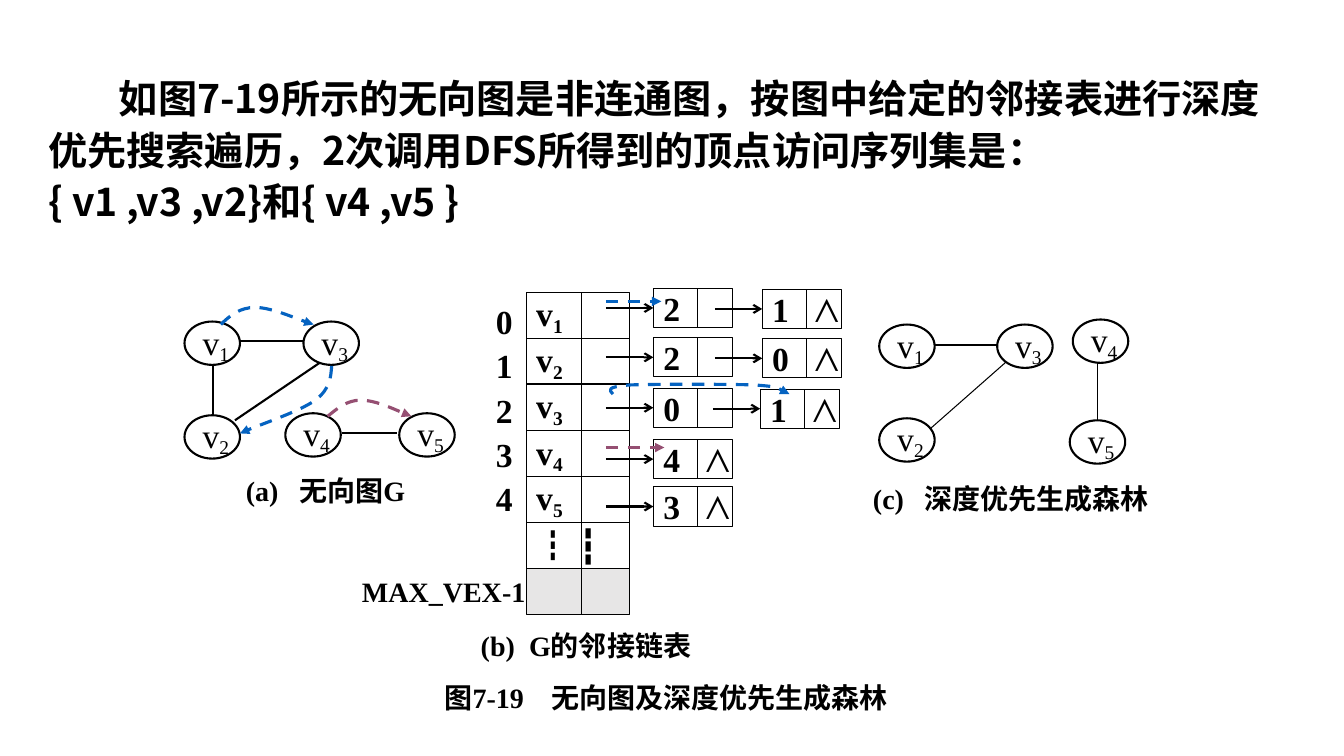
"""Build the slide on depth-first search of an unconnected graph."""
import pptx
import pptx.util
import pptx.dml.color
import pptx.enum.dml
import pptx.enum.shapes
import pptx.enum.text
import pptx.oxml
import pptx.oxml.ns

PX = 9144
BLACK = pptx.dml.color.RGBColor(0x00, 0x00, 0x00)
BLUE = pptx.dml.color.RGBColor(0x05, 0x63, 0xC1)
PURPLE = pptx.dml.color.RGBColor(0x95, 0x4F, 0x72)
GREY = pptx.dml.color.RGBColor(0xE7, 0xE6, 0xE6)
SERIF = "Times New Roman"
SANS = "Noto Sans CJK SC"
SHAPES = pptx.enum.shapes.MSO_SHAPE
qn = pptx.oxml.ns.qn

BODY = ("如图7-19所示的无向图是非连通图，按图中给定的邻接表进行深度优先搜索遍历，"
        "2次调用DFS所得到的顶点访问序列集是：\v{ v1 ,v3 ,v2}和{ v4 ,v5 }")
GRAPH_VERTICES = [(183, 319, "1"), (183, 412, "2"), (301, 319, "3"), (283, 410, "4"), (396, 410, "5")]
GRAPH_EDGES = [(211, 362, 211, 412), (233, 417, 317, 360), (239, 338, 302, 338), (339, 430, 394, 430)]
FOREST_VERTICES = [(872, 322, "1"), (872, 415, "2"), (989, 322, "3"), (1064, 317, "4"), (1061, 417, "5")]
FOREST_EDGES = [(927, 342, 990, 342, 1.5), (998, 359, 923, 425, 0.75), (1089, 359, 1089, 417, 0.75)]
CURVES = [
    (BLUE, [(219, 322), (228, 313), (238, 305), (253, 305), (268, 305), (301, 319), (311, 322)]),
    (BLUE, [(329, 363), (328, 374), (328, 385), (313, 397), (297, 408), (250, 424), (238, 430)]),
    (PURPLE, [(325, 413), (335, 405), (344, 397), (358, 397), (372, 397), (400, 410), (408, 413)]),
    (BLUE, [(608, 391), (604, 387), (601, 384), (624, 382), (648, 381), (723, 381), (749, 382),
            (776, 384), (777, 389), (783, 391)]),
]
LIST_NODES = [
    (648, 286, "2", False), (756, 287, "1", True),
    (648, 335, "2", False), (756, 336, "0", True),
    (648, 385, "0", False), (754, 386, "1", True),
    (648, 436, "4", True), (648, 483, "3", True),
]
CAPTIONS = [
    (234, 469, 180, "(a)\t无向图G", 53),
    (467, 623, 230, "(b)\tG的邻接链表", 48),
    (856, 477, 290, "(c)\t深度优先生成森林", 51),
    (431, 674, 455, "图7-19\t无向图及深度优先生成森林", 106),
]


def px(*lengths):
    """Turn pixel lengths into EMU."""
    return [pptx.util.Emu(length * PX) for length in lengths]


def format_run(run, size, bold=True, font=SERIF, east_asian=SANS):
    """Set size, weight, colour and both fonts of a run."""
    run.font.size = pptx.util.Pt(size)
    run.font.bold = bold
    run.font.color.rgb = BLACK
    run.font.name = font
    properties = run.font._element
    element = properties.makeelement(qn("a:ea"), {"typeface": east_asian})
    properties.find(qn("a:latin")).addnext(element)


def add_run(paragraph, text, size, baseline=None, **formats):
    """Append a formatted run, lowered when a baseline is given."""
    run = paragraph.add_run()
    run.text = text
    format_run(run, size, **formats)
    if baseline:
        run.font._element.set("baseline", str(baseline * 1000))


def add_tab(paragraph, position):
    """Give a paragraph one left tab stop."""
    properties = paragraph._p.get_or_add_pPr()
    stops = pptx.oxml.parse_xml(
        f'<a:tabLst {pptx.oxml.ns.nsdecls("a")}><a:tab pos="{position * PX}" algn="l"/></a:tabLst>')
    properties.append(stops)


def style_line(line, width, color=BLACK, dashed=False, head=None):
    """Set the stroke and the arrowhead at its end."""
    line.width = pptx.util.Pt(width)
    line.color.rgb = color
    if dashed:
        line.dash_style = pptx.enum.dml.MSO_LINE.DASH
    if head:
        stroke = line._get_or_add_ln()
        stroke.append(stroke.makeelement(qn("a:tailEnd"), {"type": head}))


def add_line(slide, ends, width, **strokes):
    """Draw a straight connector between two points."""
    connector = slide.shapes.add_connector(pptx.enum.shapes.MSO_CONNECTOR.STRAIGHT, *px(*ends))
    style_line(connector.line, width, **strokes)
    properties = connector._element.spPr
    properties.append(properties.makeelement(qn("a:effectLst"), {}))
    return connector


def add_outline(slide, kind, box, width, fill=None):
    """Draw a preset shape ready for left-aligned text."""
    shape = slide.shapes.add_shape(kind, *px(*box))
    shape.shadow.inherit = False
    style_line(shape.line, width)
    if fill:
        shape.fill.solid()
        shape.fill.fore_color.rgb = fill
    else:
        shape.fill.background()
    shape.text_frame.word_wrap = False
    shape.text_frame.vertical_anchor = pptx.enum.text.MSO_ANCHOR.MIDDLE
    shape.text_frame.paragraphs[0].alignment = pptx.enum.text.PP_ALIGN.LEFT
    return shape


def add_vertex(slide, left, top, number):
    """Draw a round graph vertex."""
    paragraph = add_outline(slide, SHAPES.OVAL, (left, top, 55, 43), 1.5).text_frame.paragraphs[0]
    add_run(paragraph, "v", 24, bold=False)
    add_run(paragraph, number, 24, baseline=-18, bold=False)


def add_cell(slide, left, top, width, height, divider, fill=None):
    """Draw a two-part cell and return it."""
    cell = add_outline(slide, SHAPES.RECTANGLE, (left, top, width, height), 0.75, fill)
    add_line(slide, (left + divider, top, left + divider, top + height), 0.75)
    return cell


def add_vertex_array(slide):
    """Draw the column of list heads."""
    tops = [round(290 + 45.7 * row) for row in range(8)]
    for row, top in enumerate(tops[:-1]):
        fill = GREY if row == 6 else None
        cell = add_cell(slide, 522, top, 102, tops[row + 1] - top, 55, fill)
        paragraph = cell.text_frame.paragraphs[0]
        if row < 5:
            add_run(paragraph, "v", 24)
            add_run(paragraph, str(row + 1), 24, baseline=-20)
        elif row == 5:
            add_run(paragraph, "┇", 24, font=SANS)
            add_run(paragraph, " ┇", 24, east_asian=SERIF)


def add_list_node(slide, left, top, number, last):
    """Draw a list node with the arrow that leads to it."""
    node = add_cell(slide, left, top, 79, 39, 44)
    paragraph = node.text_frame.paragraphs[0]
    if last:
        add_tab(paragraph, 42)
        add_run(paragraph, number + "\t", 24)
        add_run(paragraph, "⋀", 24, bold=False)
    else:
        add_run(paragraph, number, 24)
    arrow = add_line(slide, (left - 47, top + 20, left, top + 20), 1.5, head="arrow")
    arrow.end_connect(node, 1)
    arrow.begin_y = arrow.end_y


def add_curve(slide, color, points):
    """Draw a dashed arrow along cubic curves."""
    builder = slide.shapes.build_freeform(*points[0], scale=PX)
    builder.add_line_segments(points[1:], close=False)
    shape = builder.convert_to_shape()
    shape.shadow.inherit = False
    shape.fill.background()
    style_line(shape.line, 2.25, color, dashed=True, head="triangle")
    segments = list(shape._element.iter(qn("a:lnTo")))
    for start in range(0, len(segments), 3):
        curve = segments[start].makeelement(qn("a:cubicBezTo"), {})
        segments[start].addprevious(curve)
        for segment in segments[start:start + 3]:
            curve.append(segment[0])
            segment.getparent().remove(segment)


def add_label(slide, box, text, size, spacing=None, tab=None):
    """Write bold text in an unwrapped box."""
    frame = slide.shapes.add_textbox(*px(*box)).text_frame
    frame.word_wrap = False
    frame.margin_right = 0
    frame.vertical_anchor = pptx.enum.text.MSO_ANCHOR.MIDDLE
    frame.text = text
    for paragraph in frame.paragraphs:
        paragraph.line_spacing = spacing
        if tab:
            add_tab(paragraph, tab)
        for run in paragraph.runs:
            format_run(run, size)


def fill_body(slide):
    """Write the explanation in the body placeholder."""
    title, body = slide.placeholders
    title._element.getparent().remove(title._element)
    body.left, body.top, body.width, body.height = px(38, 64, 1242, 173)
    frame = body.text_frame
    frame.auto_size = pptx.enum.text.MSO_AUTO_SIZE.NONE
    paragraph = frame.paragraphs[0]
    paragraph.text = BODY
    paragraph.line_spacing = 1.1
    paragraph.space_before = pptx.util.Pt(0)
    properties = paragraph._p.get_or_add_pPr()
    properties.set("marL", "0")
    properties.set("indent", str(70 * PX))
    properties.append(properties.makeelement(qn("a:buNone"), {}))
    for run in paragraph.runs:
        format_run(run, 28, font=SANS)


def main():
    """Build and save the slide."""
    presentation = pptx.Presentation()
    presentation.slide_width, presentation.slide_height = px(1333, 750)
    slide = presentation.slides.add_slide(presentation.slide_layouts[1])
    fill_body(slide)
    for vertex in GRAPH_VERTICES + FOREST_VERTICES:
        add_vertex(slide, *vertex)
    for edge in GRAPH_EDGES:
        add_line(slide, edge, 1.5)
    for *ends, width in FOREST_EDGES:
        add_line(slide, ends, width)
    add_vertex_array(slide)
    for node in LIST_NODES:
        add_list_node(slide, *node)
    for color, points in CURVES:
        add_curve(slide, color, points)
    for color, y, right in [(BLUE, 299, 656), (PURPLE, 444, 659)]:
        add_line(slide, (601, y, right, y), 2.25, color=color, dashed=True, head="triangle")
    add_label(slide, (482, 289, 39, 231), "0\n1\n2\n3\n4", 24, spacing=1.1)
    add_label(slide, (349, 567, 178, 39), "MAX_VEX-1", 20)
    for left, top, width, text, tab in CAPTIONS:
        add_label(slide, (left, top, width, 35), text, 20, tab=tab)
    presentation.save("out.pptx")


if __name__ == "__main__":
    main()
